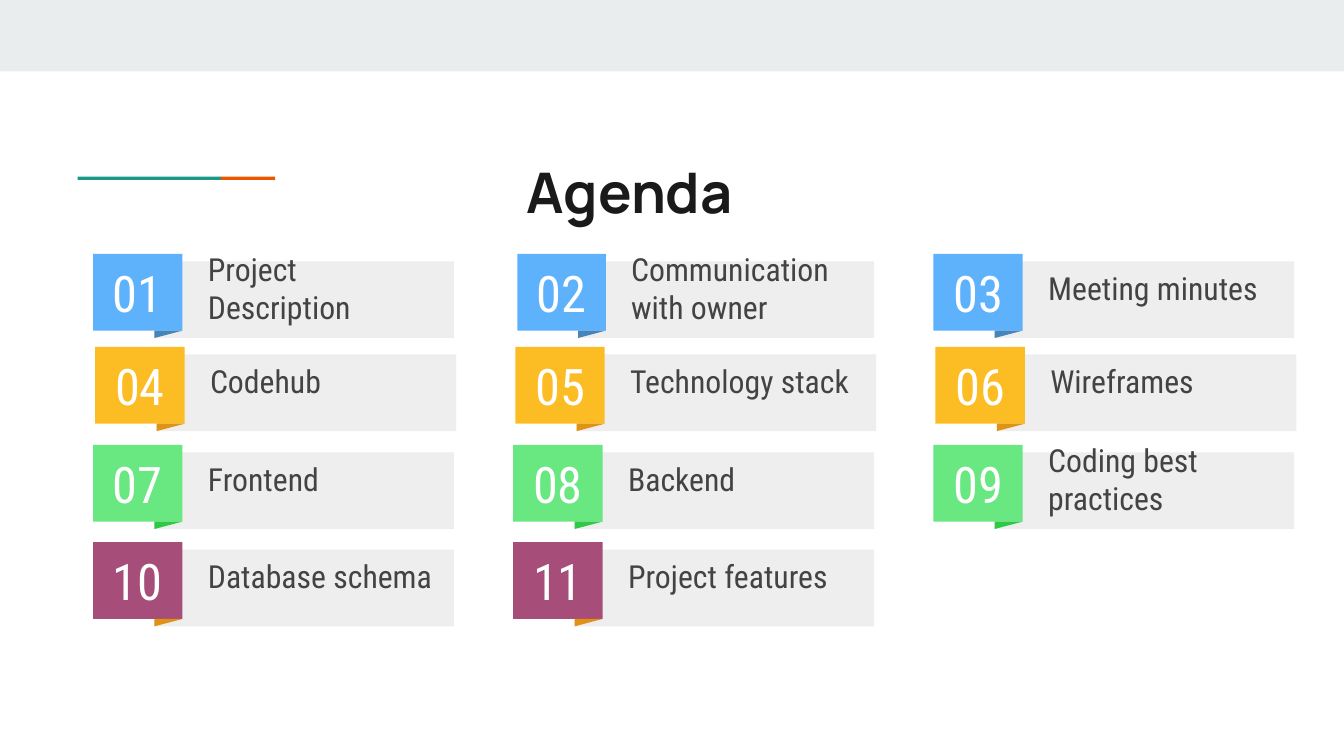
from pptx import Presentation
from pptx.dml.color import RGBColor
from pptx.enum.shapes import MSO_SHAPE
from pptx.enum.text import MSO_ANCHOR, PP_ALIGN
from pptx.util import Cm, Pt

BAND = RGBColor(0xE9, 0xED, 0xEE)
TEAL = RGBColor(0x1A, 0x99, 0x88)
ORANGE = RGBColor(0xEB, 0x56, 0x00)
INK = RGBColor(0x1A, 0x1A, 0x1A)
GREY = RGBColor(0x43, 0x43, 0x43)
BAR = RGBColor(0xEE, 0xEE, 0xEE)
WHITE = RGBColor(0xFF, 0xFF, 0xFF)
BLUE = RGBColor(0x5E, 0xB2, 0xFC)
DARK_BLUE = RGBColor(0x46, 0x85, 0xBC)
YELLOW = RGBColor(0xFC, 0xBD, 0x24)
DARK_YELLOW = RGBColor(0xE0, 0x92, 0x14)
GREEN = RGBColor(0x69, 0xE7, 0x81)
DARK_GREEN = RGBColor(0x2F, 0xC9, 0x48)
PLUM = RGBColor(0xA6, 0x4D, 0x79)

TITLE = "Agenda"
# Each row: top (cm), shift to the right (cm), badge colour, fold colour, labels
ROWS = [
    (4.8, 0, BLUE, DARK_BLUE,
     ["Project Description", "Communication with owner", "Meeting minutes"]),
    (6.56, 0.04, YELLOW, DARK_YELLOW,
     ["Codehub", "Technology stack", "Wireframes"]),
    (8.41, 0, GREEN, DARK_GREEN,
     ["Frontend", "Backend", "Coding best practices"]),
    (10.25, 0, PLUM, DARK_YELLOW,
     ["Database schema", "Project features"]),
]
FIRST_LEFT, COLUMN_PITCH = 1.76, 7.94
ITEM_WIDTH, ITEM_HEIGHT = 6.82, 1.45
BADGE_WIDTH, FOLD_LEFT, FOLD_HEIGHT = 1.69, 1.16, 0.14
LABEL_LEFT, LABEL_TOP, LABEL_HEIGHT = 1.92, 0.33, 0.61
NARROW_ITEM, NARROWING = 2, 0.08

presentation = Presentation()
presentation.slide_width, presentation.slide_height = Cm(25.4), Cm(14.29)
slide = presentation.slides.add_slide(presentation.slide_layouts[6])


def paint(shape, color):
    shape.shadow.inherit = False
    shape.fill.solid()
    shape.fill.fore_color.rgb = color
    shape.line.fill.background()


def add_rectangle(left, top, width, height, color):
    shape = slide.shapes.add_shape(
        MSO_SHAPE.RECTANGLE, Cm(left), Cm(top), Cm(width), Cm(height))
    paint(shape, color)
    return shape


def write(shape, text, font_name, size, color, anchor=MSO_ANCHOR.MIDDLE,
          align=PP_ALIGN.LEFT, bold=False):
    frame = shape.text_frame
    frame.word_wrap = True
    frame.vertical_anchor = anchor
    frame.margin_left = frame.margin_right = Cm(0.25)
    frame.margin_top = frame.margin_bottom = Cm(0.25)
    paragraph = frame.paragraphs[0]
    paragraph.text = text
    paragraph.alignment = align
    font = paragraph.font
    font.name, font.size, font.bold = font_name, Pt(size), bold
    font.color.rgb = color


def add_text(left, top, width, height, *text_style, **options):
    box = slide.shapes.add_textbox(Cm(left), Cm(top), Cm(width), Cm(height))
    write(box, *text_style, **options)


def add_item(left, top, scale, number, label, color, fold_color):
    fold_left, fold_top = left + FOLD_LEFT * scale, top + ITEM_HEIGHT
    badge_width = BADGE_WIDTH * scale
    right = left + ITEM_WIDTH * scale

    add_rectangle(fold_left, top + FOLD_HEIGHT, right - fold_left, ITEM_HEIGHT, BAR)
    badge = add_rectangle(left, top, badge_width, ITEM_HEIGHT, color)
    write(badge, f"{number:02}", "Roboto Condensed", 27, WHITE, align=PP_ALIGN.CENTER)

    # Folded corner under the badge
    builder = slide.shapes.build_freeform(Cm(fold_left), Cm(fold_top))
    builder.add_line_segments([
        (Cm(fold_left), Cm(fold_top + FOLD_HEIGHT)),
        (Cm(left + badge_width), Cm(fold_top)),
    ], close=True)
    paint(builder.convert_to_shape(), fold_color)

    label_left = left + LABEL_LEFT * scale
    add_text(label_left, top + LABEL_TOP, right - label_left, LABEL_HEIGHT,
             label, "Roboto Condensed", 17, GREY)


# Top band, accent line and title
add_rectangle(0, 0, 25.4, 1.35, BAND)
add_rectangle(1.47, 3.34, 2.71, 0.06, TEAL)
add_rectangle(4.18, 3.34, 1.02, 0.06, ORANGE)
add_text(9.7, 2.72, 15.5, 1.32, TITLE, "Manrope", 30, INK,
         anchor=MSO_ANCHOR.TOP, bold=True)

# Agenda grid
number = 0
for top, shift, color, fold_color, labels in ROWS:
    for column, label in enumerate(labels):
        number += 1
        narrowing = NARROWING if number == NARROW_ITEM else 0
        left = FIRST_LEFT + column * COLUMN_PITCH + shift + narrowing
        scale = 1 - narrowing / ITEM_WIDTH
        add_item(left, top, scale, number, label, color, fold_color)

presentation.save("out.pptx")
